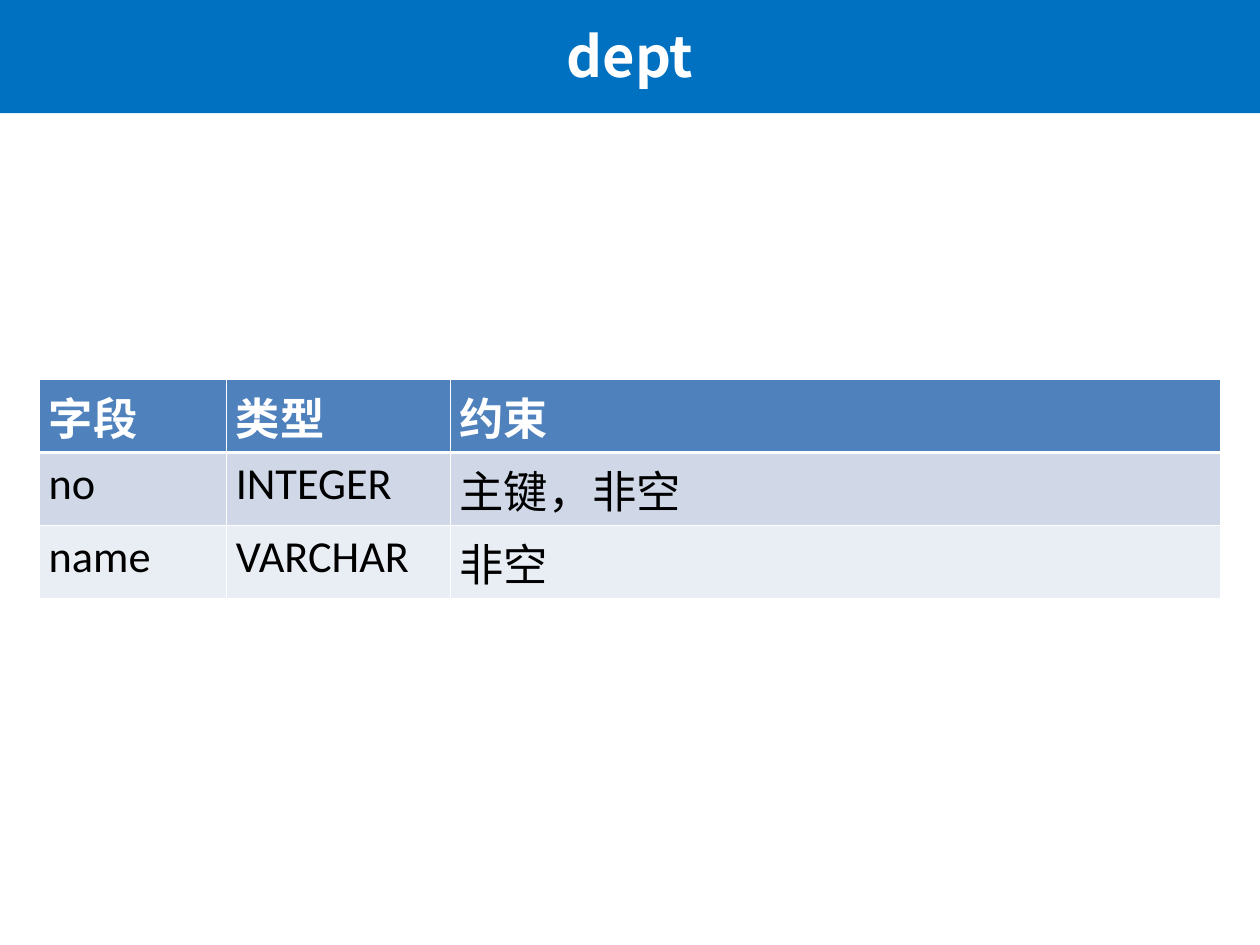
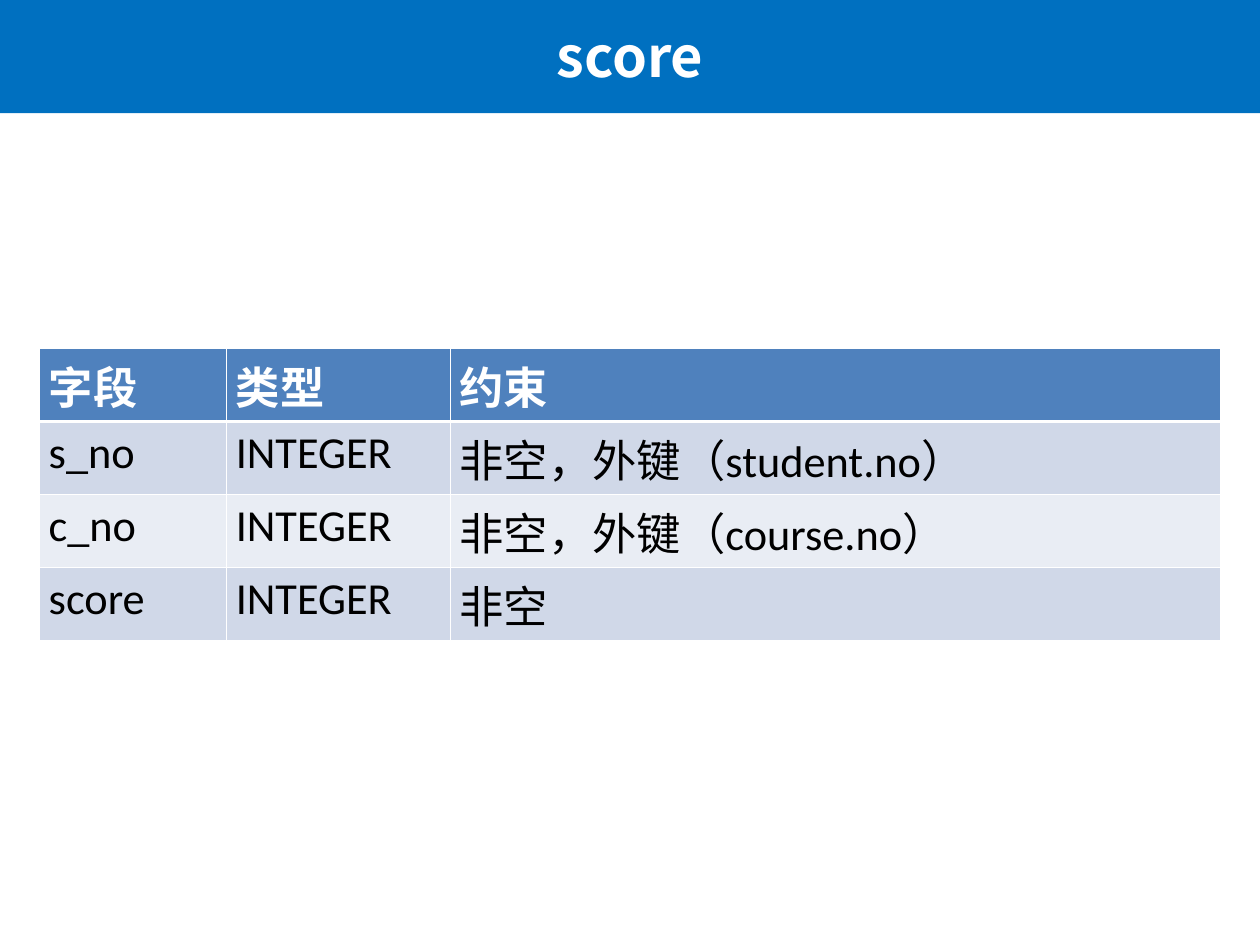
from dataclasses import dataclass

from lxml import etree
from pptx import Presentation
from pptx.dml.color import RGBColor
from pptx.enum.shapes import MSO_SHAPE
from pptx.enum.text import MSO_ANCHOR, PP_ALIGN
from pptx.oxml.ns import qn
from pptx.util import Pt

RECT = MSO_SHAPE.RECTANGLE
MIDDLE = MSO_ANCHOR.MIDDLE
CENTER = PP_ALIGN.CENTER

WIDTH, HEIGHT = 1024, 768
BLANK = 6


@dataclass(frozen=True)
class Theme:
    band: str = "0070C0"
    header: str = "4F81BD"
    rows: tuple = ("D0D8E8", "E9EDF4")
    white: str = "FFFFFF"
    text: str = "000000"
    latin: str = "Calibri"
    cjk: str = "Noto Sans CJK SC"
    title_size: float = 45.5
    cell_size: float = 36
    thin: float = 1
    thick: float = 3


class Deck:
    def __init__(self, prs, theme):
        self.prs = prs
        self.theme = theme
        self.slide = None

    def new_slide(self, title):
        self.slide = self.prs.slides.add_slide(self.prs.slide_layouts[BLANK])
        self.title_band(title)

    def fill(self, target, color):
        target.fill.solid()
        target.fill.fore_color.rgb = RGBColor.from_string(color)

    def set_text(self, tf, text, size, color, bold, latin):
        tf.text = text
        for r in tf.paragraphs[0].runs:
            r.font.size = Pt(size)
            r.font.bold = bold
            r.font.name = latin
            r.font.color.rgb = RGBColor.from_string(color)
            ea = etree.SubElement(r.font._element, qn("a:ea"))
            ea.set("typeface", self.theme.cjk)

    def title_band(self, text):
        t = self.theme
        sp = self.slide.shapes.add_shape(RECT, 0, Pt(-3), Pt(WIDTH), Pt(95))
        sp.shadow.inherit = False
        sp.line.fill.background()
        self.fill(sp, t.band)
        tf = sp.text_frame
        tf.word_wrap = True
        tf.vertical_anchor = MIDDLE
        tf.margin_left = tf.margin_right = Pt(10)
        tf.margin_top = tf.margin_bottom = Pt(5)
        self.set_text(tf, text, t.title_size, t.white, True, t.cjk)
        tf.paragraphs[0].alignment = CENTER

    def borders(self, cell, top, bottom):
        tc_pr = cell._tc.get_or_add_tcPr()
        widths = {"L": self.theme.thin, "R": self.theme.thin, "T": top, "B": bottom}
        for side, width in widths.items():
            ln = etree.SubElement(tc_pr, qn(f"a:ln{side}"), w=str(Pt(width)))
            solid = etree.SubElement(ln, qn("a:solidFill"))
            etree.SubElement(solid, qn("a:srgbClr"), val=self.theme.white)

    def table(self, rows, left=32.4, widths=(152, 182, 625.6), row_height=50.4):
        t = self.theme
        height = row_height * len(rows)
        frame = self.slide.shapes.add_table(
            len(rows), len(widths), Pt(left), Pt((HEIGHT - height) / 2),
            Pt(sum(widths)), Pt(height))
        table = frame.table
        for column, width in zip(table.columns, widths):
            column.width = Pt(width)
        for i, row in enumerate(rows):
            head = i == 0
            fill = t.header if head else t.rows[(i - 1) % 2]
            color = t.white if head else t.text
            top = t.thick if i == 1 else t.thin
            bottom = t.thick if head else t.thin
            for j, text in enumerate(row):
                cell = table.cell(i, j)
                self.borders(cell, top, bottom)
                self.fill(cell, fill)
                self.set_text(cell.text_frame, text, t.cell_size, color, head, t.latin)


HEADINGS = ("字段", "类型", "约束")
TABLES = {
    "dept": [
        ("no", "INTEGER", "主键，非空"),
        ("name", "VARCHAR", "非空"),
    ],
    "score": [
        ("s_no", "INTEGER", "非空，外键（student.no）"),
        ("c_no", "INTEGER", "非空，外键（course.no）"),
        ("score", "INTEGER", "非空"),
    ],
}


def main():
    prs = Presentation()
    prs.slide_width, prs.slide_height = Pt(WIDTH), Pt(HEIGHT)
    deck = Deck(prs, Theme())
    for name, fields in TABLES.items():
        deck.new_slide(name)
        deck.table([HEADINGS, *fields])
    prs.save("out.pptx")


if __name__ == "__main__":
    main()
